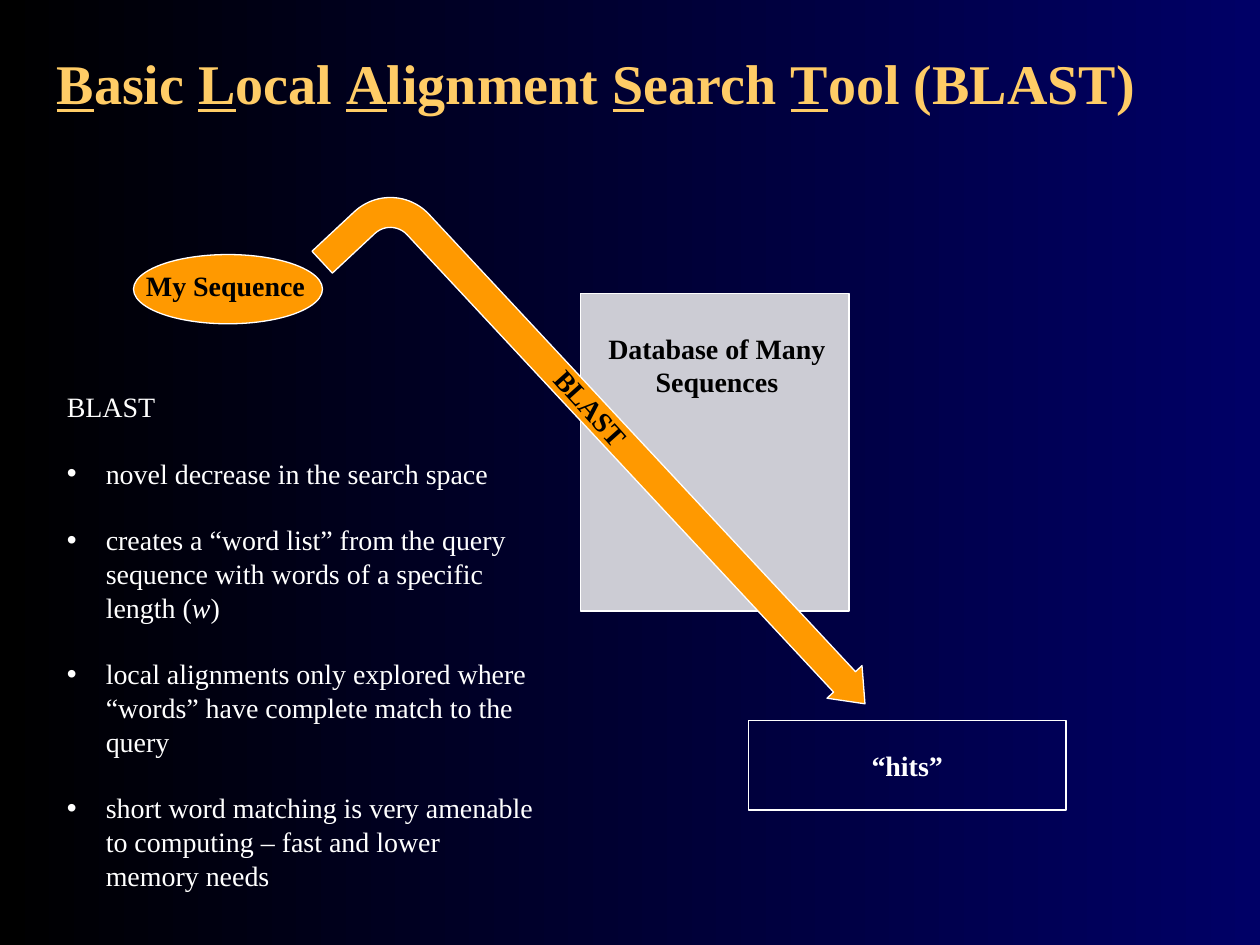
from dataclasses import dataclass

from lxml.etree import SubElement
from pptx import Presentation
from pptx.dml.color import RGBColor
from pptx.enum.shapes import MSO_SHAPE as Shape
from pptx.enum.text import MSO_ANCHOR as Anchor, MSO_AUTO_SIZE as AutoSize, PP_ALIGN as Align
from pptx.oxml.ns import qn
from pptx.util import Pt

PX = 9144  # 100 px to the inch


@dataclass(frozen=True)
class Theme:
    font: str = "Times New Roman"
    title_size: int = 32
    text_size: int = 16
    line_width: float = 0.75
    paragraph_gap: int = 19
    night: str = "000000"
    navy: str = "000066"
    gold: str = "FFCC66"
    orange: str = "FF9900"
    gray: str = "CCCCD4"
    white: str = "FFFFFF"
    black: str = "000000"


THEME = Theme()

TITLE = ["Basic ", "Local ", "Alignment ", "Search ", "Tool (BLAST)"]
LIST_HEAD = "BLAST"
LIST_ITEMS = [
    ["novel decrease in the search space"],
    ["creates a “word list” from the query sequence with words of a specific length (", "w", ")"],
    ["local alignments only explored where “words” have complete match to the query"],
    ["short word matching is very amenable to computing – fast and lower memory needs"],
]


def rgb(color):
    return RGBColor.from_string(color)


def px(*lengths):
    return [n * PX for n in lengths]


def place(sp, box):
    sp.left, sp.top, sp.width, sp.height = px(*box)


def format_run(r, color, size=THEME.text_size, bold=False):
    r.font.name = THEME.font
    r.font.size = Pt(size)
    r.font.bold = bold
    r.font.color.rgb = rgb(color)


def add_run(p, text, *style, **options):
    r = p.add_run()
    r.text = text
    format_run(r, *style, **options)
    return r


def set_label(sp, text, color):
    tf = sp.text_frame
    tf.word_wrap = True
    tf.vertical_anchor = Anchor.MIDDLE
    tf.text = text
    p = tf.paragraphs[0]
    p.alignment = Align.CENTER
    format_run(p.runs[0], color, bold=True)


def add_label(s, box, text, rotation=0):
    sp = s.shapes.add_textbox(*px(*box))
    sp.rotation = rotation
    set_label(sp, text, THEME.black)


def add_outlined(s, kind, box, fill=None):
    sp = s.shapes.add_shape(kind, *px(*box))
    sp.shadow.inherit = False
    if fill:
        sp.fill.solid()
        sp.fill.fore_color.rgb = rgb(fill)
    else:
        sp.fill.background()
    sp.line.color.rgb = rgb(THEME.white)
    sp.line.width = Pt(THEME.line_width)
    return sp


def set_bullet(p, char=None, indent=0):
    """Give a hanging bullet, or none when there is no character."""
    pPr = p._p.get_or_add_pPr()
    pPr.set("marL", str(indent * PX))
    pPr.set("indent", str(-indent * PX))
    if char:
        SubElement(pPr, qn("a:buChar"), char=char)
    else:
        SubElement(pPr, qn("a:buNone"))


def paint_background(s):
    fill = s.background.fill
    fill.gradient()
    fill.gradient_angle = 0
    for stop, color in zip(fill.gradient_stops, (THEME.night, THEME.navy)):
        stop.color.rgb = rgb(color)


def fill_title(s, box):
    """Write the title with the first letter of each word underlined."""
    sp = s.shapes.title
    place(sp, box)
    tf = sp.text_frame
    tf.auto_size = AutoSize.NONE
    tf.vertical_anchor = Anchor.MIDDLE
    p = tf.paragraphs[0]
    p.alignment = Align.LEFT
    for word in TITLE:
        for text, underline in ((word[0], True), (word[1:], False)):
            r = add_run(p, text, THEME.gold, THEME.title_size, bold=True)
            r.font.underline = underline


def fill_list(s, box):
    """Write the heading and bullets; the second part of an item is italic."""
    sp = s.placeholders[1]
    place(sp, box)
    tf = sp.text_frame
    tf.auto_size = AutoSize.NONE
    tf.vertical_anchor = Anchor.TOP
    head = tf.paragraphs[0]
    head.space_before = Pt(0)
    set_bullet(head)
    add_run(head, LIST_HEAD, THEME.white)
    for item in LIST_ITEMS:
        p = tf.add_paragraph()
        p.space_before = Pt(THEME.paragraph_gap)
        set_bullet(p, "•", indent=31)
        for i, text in enumerate(item):
            add_run(p, text, THEME.white).font.italic = i == 1


def draw_search(s, box):
    """Draw the query, the database, the search arrow and the hits."""
    left, top, width, height = box

    def at(x, y, w, h):
        return left + x, top + y, w, h

    add_outlined(s, Shape.OVAL, at(0, 0, 150, 55), THEME.orange)
    add_outlined(s, Shape.RECTANGLE, at(355, 31, 213, 252), THEME.gray)
    add_label(s, at(-35, 0, 216, 49), "My Sequence")
    add_label(s, at(355, 63, 216, 49), "Database of Many Sequences")

    arrow = add_outlined(s, Shape.BENT_ARROW, at(87, 123, 562, 95), THEME.orange)
    arrow.rotation = 47
    for i, value in enumerate((0.25, 0.2, 0.25, 0.44)):
        arrow.adjustments[i] = value

    hits_w, hits_h = 252, 71
    hits = add_outlined(s, Shape.RECTANGLE, at(width - hits_w, height - hits_h, hits_w, hits_h))
    set_label(hits, "“hits”", THEME.white)
    add_label(s, at(237, 86, 252, 71), "BLAST", rotation=48.1)


def main():
    prs = Presentation()
    prs.slide_width, prs.slide_height = px(1000, 750)
    s = prs.slides.add_slide(prs.slide_layouts[1])
    paint_background(s)
    fill_title(s, (35, -19, 937, 168))
    draw_search(s, (106, 202, 740, 441))
    fill_list(s, (43, 304, 394, 441))
    prs.save("out.pptx")


if __name__ == "__main__":
    main()
